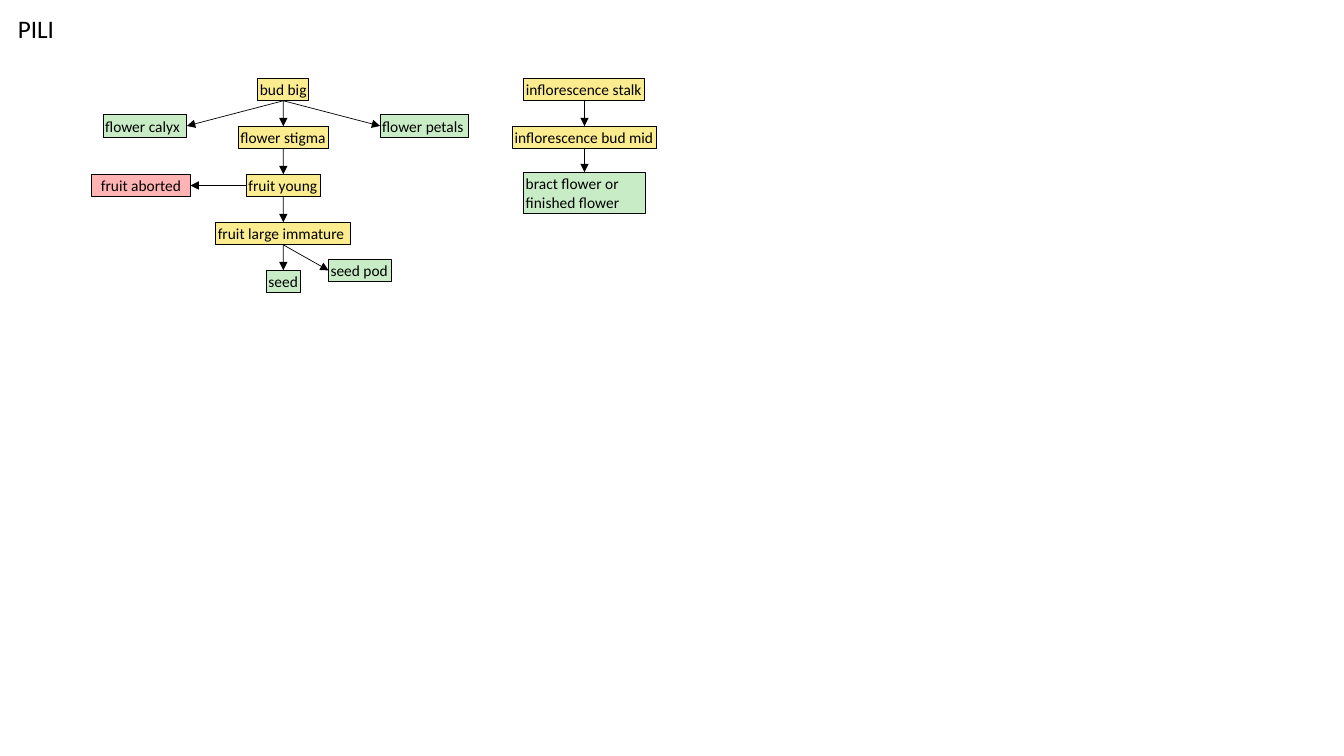
from pptx import Presentation
from pptx.dml.color import RGBColor
from pptx.enum.shapes import MSO_CONNECTOR, MSO_SHAPE
from pptx.enum.text import MSO_ANCHOR, MSO_AUTO_SIZE, PP_ALIGN
from pptx.oxml.ns import qn
from pptx.util import Cm, Pt
from lxml import etree

BLACK = RGBColor(0x00, 0x00, 0x00)
YELLOW = RGBColor(0xFB, 0xEC, 0x8F)
GREEN = RGBColor(0xC8, 0xEC, 0xC6)
RED = RGBColor(0xFF, 0xB3, 0xB3)

TOP, PITCH, BOX_H = 1.97, 1.21, 0.57
FLOWER_X, STALK_X = 7.14, 14.73
UP, LEFT, DOWN, RIGHT = range(4)


def row(i):
    """Top of stage i in a column, in cm."""
    return TOP + i * PITCH


class Diagram:
    """Style and current slide of the growth stage diagram."""

    font = "Calibri"
    inset = Cm(0.05)

    def __init__(self, prs):
        """Add a blank slide."""
        self.s = prs.slides.add_slide(prs.slide_layouts[6])

    def label(self, sp, text, size, wrap, align=PP_ALIGN.LEFT, **frame):
        """Put one formatted paragraph into a shape."""
        tf = sp.text_frame
        frame.update(word_wrap=wrap, auto_size=MSO_AUTO_SIZE.SHAPE_TO_FIT_TEXT)
        for name, value in frame.items():
            setattr(tf, name, value)
        p = tf.paragraphs[0]
        p.alignment = align
        r = p.add_run()
        r.text = text
        for name, value in {"name": self.font, "size": Pt(size)}.items():
            setattr(r.font, name, value)
        r.font.color.rgb = BLACK

    def title(self, text, x, y, w, h):
        """Add the slide heading."""
        sp = self.s.shapes.add_textbox(Cm(x), Cm(y), Cm(w), Cm(h))
        self.label(sp, text, 18, False)

    def box(self, text, x, y, w, color, h=BOX_H, wrap=True, align=PP_ALIGN.LEFT):
        """Add a stage box."""
        sp = self.s.shapes.add_shape(MSO_SHAPE.RECTANGLE, Cm(x), Cm(y), Cm(w), Cm(h))
        sp.shadow.inherit = False
        sp.fill.solid()
        sp.fill.fore_color.rgb = color
        sp.line.color.rgb = BLACK
        sp.line.width = Pt(0.75)
        margins = {f"margin_{side}": self.inset for side in ("left", "right", "top", "bottom")}
        self.label(sp, text, 11, wrap, align, vertical_anchor=MSO_ANCHOR.TOP, **margins)
        return sp

    def arrow(self, start, end, out=DOWN, into=UP):
        """Join two boxes with an arrow."""
        c = self.s.shapes.add_connector(MSO_CONNECTOR.STRAIGHT, 0, 0, 0, 0)
        c.begin_connect(start, out)
        c.end_connect(end, into)
        c.line.color.rgb = BLACK
        c.line.width = Pt(0.5)
        props = c._element.spPr
        etree.SubElement(props.find(qn("a:ln")), qn("a:tailEnd"), type="triangle")
        etree.SubElement(props, qn("a:effectLst"))

    def column(self, center, stages):
        """Stack centred stages, joined from top to bottom."""
        boxes = [self.box(text, center - w / 2, row(i), w, color, wrap=wrap)
                 for i, (text, w, color, wrap) in enumerate(stages)]
        for start, end in zip(boxes, boxes[1:]):
            self.arrow(start, end)
        return boxes


prs = Presentation()
prs.slide_width, prs.slide_height = Cm(33.87), Cm(19.05)
d = Diagram(prs)
d.title("PILI", 0.2, 0.2, 1.42, 1.03)

bud, stigma, young, immature, seed = d.column(FLOWER_X, [
    ("bud big", 1.28, YELLOW, False),
    ("flower stigma", 2.26, YELLOW, False),
    ("fruit young", 1.86, YELLOW, False),
    ("fruit large immature", 3.4, YELLOW, True),
    ("seed", 0.85, GREEN, False),
])
stalk, bud_mid = d.column(STALK_X, [
    ("inflorescence stalk", 3.05, YELLOW, False),
    ("inflorescence bud mid", 3.62, YELLOW, False),
])

calyx = d.box("flower calyx", 2.6, 2.89, 2.11, GREEN)
petals = d.box("flower petals", 9.58, 2.89, 2.24, GREEN)
aborted = d.box("fruit aborted", 2.31, row(2), 2.49, RED, align=PP_ALIGN.CENTER)
pod = d.box("seed pod", 8.28, 6.53, 1.58, GREEN)
bract = d.box("bract flower or finished flower", 13.2, 4.34, 3.06, GREEN, h=1.04)

d.arrow(bud, calyx, into=RIGHT)
d.arrow(bud, petals, into=LEFT)
d.arrow(young, aborted, LEFT, RIGHT)
d.arrow(immature, pod, into=LEFT)
d.arrow(bud_mid, bract)

prs.save("out.pptx")
